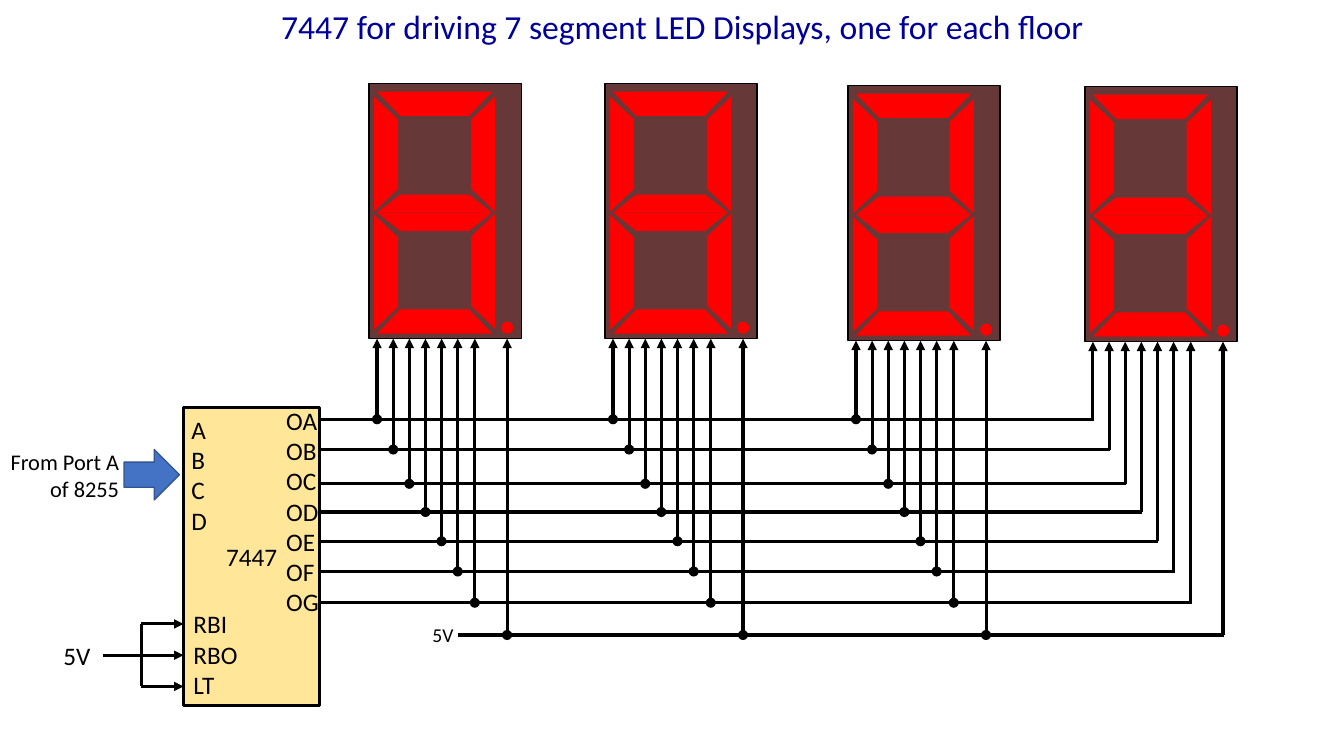
from lxml import etree
from pptx import Presentation
from pptx.dml.color import RGBColor
from pptx.enum.shapes import MSO_CONNECTOR, MSO_SHAPE
from pptx.enum.text import MSO_ANCHOR, PP_ALIGN
from pptx.oxml.ns import qn
from pptx.util import Inches, Pt

BLACK = RGBColor(0x00, 0x00, 0x00)
NAVY = RGBColor(0x00, 0x00, 0x99)
CHIP_YELLOW = RGBColor(0xFF, 0xE6, 0x99)
ARROW_BLUE = RGBColor(0x44, 0x72, 0xC4)
ARROW_EDGE = RGBColor(0x32, 0x54, 0x91)
PANEL_BROWN = RGBColor(0x66, 0x39, 0x38)
LED_RED = RGBColor(0xFF, 0x00, 0x00)

RECTANGLE = MSO_SHAPE.RECTANGLE
RIGHT_ARROW = MSO_SHAPE.RIGHT_ARROW
TRAPEZOID = MSO_SHAPE.FLOWCHART_MANUAL_OPERATION
CIRCLE = MSO_SHAPE.FLOWCHART_CONNECTOR
STRAIGHT = MSO_CONNECTOR.STRAIGHT
LEFT, CENTER, RIGHT = PP_ALIGN.LEFT, PP_ALIGN.CENTER, PP_ALIGN.RIGHT
TOP, MIDDLE = MSO_ANCHOR.TOP, MSO_ANCHOR.MIDDLE

DISPLAYS = [(3.66, 0.83), (6.0, 0.83), (8.41, 0.85), (10.76, 0.86)]
PANEL_WIDTH, PANEL_HEIGHT = 1.51, 2.53
SEGMENT_LENGTH = 1.14
# Offset from the panel corner, thickness and rotation of each segment part
SEGMENTS = [
    (0.08, 0.08, 0.24, 0),
    (0.08, 2.24, 0.24, 180),
    (0.56, 0.58, 0.24, 90),
    (-0.4, 0.58, 0.24, 270),
    (-0.4, 1.75, 0.24, 270),
    (0.56, 1.74, 0.24, 90),
    (0.08, 1.28, 0.18, 0),
    (0.08, 1.1, 0.18, 180),
]
CHIP_RIGHT = 3.17
SUPPLY_START = 4.54
# Pin offset from the panel's left side, and height of its bus wire
PINS = [(0.08, 4.16), (0.24, 4.46), (0.4, 4.8), (0.56, 5.08),
        (0.72, 5.37), (0.88, 5.67), (1.05, 5.98), (1.37, 6.3)]
JUNCTION = 0.1


class Diagram:
    font = "Calibri"
    wire_width = 2.25

    def __init__(self, slide):
        self.slide = slide

    def set_text(self, frame, text, size=18, color=BLACK, align=LEFT, anchor=TOP):
        """Fill a text frame, one paragraph for each line of the text."""
        frame.word_wrap = True
        frame.vertical_anchor = anchor
        for index, words in enumerate(text.split("\n")):
            paragraph = frame.add_paragraph() if index else frame.paragraphs[0]
            paragraph.alignment = align
            run = paragraph.add_run()
            run.text = words
            run.font.name = self.font
            run.font.size = Pt(size)
            run.font.color.rgb = color

    def label(self, left, top, width, height, text, **style):
        box = self.slide.shapes.add_textbox(
            Inches(left), Inches(top), Inches(width), Inches(height))
        self.set_text(box.text_frame, text, **style)

    def shape(self, kind, left, top, width, height, fill,
              line=None, line_width=1, rotation=0):
        shape = self.slide.shapes.add_shape(
            kind, Inches(left), Inches(top), Inches(width), Inches(height))
        shape.shadow.inherit = False
        shape.rotation = rotation
        shape.fill.solid()
        shape.fill.fore_color.rgb = fill
        if line is None:
            shape.line.fill.background()
        else:
            shape.line.color.rgb = line
            shape.line.width = Pt(line_width)
        return shape

    def wire(self, x1, y1, x2, y2, arrow=False):
        wire = self.slide.shapes.add_connector(
            STRAIGHT, Inches(x1), Inches(y1), Inches(x2), Inches(y2))
        wire.line.color.rgb = BLACK
        wire.line.width = Pt(self.wire_width)
        properties = wire.element.spPr
        if arrow:
            tail = etree.SubElement(properties.find(qn("a:ln")), qn("a:tailEnd"))
            tail.set("type", "triangle")
        etree.SubElement(properties, qn("a:effectLst"))

    def junction(self, x, y):
        self.shape(CIRCLE, x - JUNCTION / 2, y - JUNCTION / 2,
                   JUNCTION, JUNCTION, BLACK)

    def display(self, left, top):
        """Draw a seven-segment display with its decimal point."""
        self.shape(RECTANGLE, left, top, PANEL_WIDTH, PANEL_HEIGHT,
                   PANEL_BROWN, line=BLACK)
        for dx, dy, thickness, rotation in SEGMENTS:
            self.shape(TRAPEZOID, left + dx, top + dy, SEGMENT_LENGTH,
                       thickness, LED_RED, rotation=rotation)
        self.shape(CIRCLE, left + 1.31, top + 2.36, 0.12, 0.12, LED_RED)


def draw_decoder(diagram):
    chip = diagram.shape(RECTANGLE, 1.82, 4.04, 1.35, 2.96, CHIP_YELLOW,
                         line=BLACK, line_width=2.25)
    diagram.set_text(chip.text_frame, "7447", align=CENTER, anchor=MIDDLE)
    diagram.label(1.8, 4.06, 0.41, 1.31, "A\nB\nC\nD")
    diagram.label(1.82, 5.99, 0.72, 1.01, "RBI\nRBO\nLT")
    diagram.label(2.74, 3.97, 0.57, 2.22, "OA\nOB\nOC\nOD\nOE\nOF\nOG")
    diagram.shape(RIGHT_ARROW, 1.23, 4.46, 0.55, 0.5, ARROW_BLUE, line=ARROW_EDGE)
    diagram.label(-0.22, 4.4, 1.5, 0.64, "From Port A of 8255", size=16, align=RIGHT)

    for start, y in [(1.4, 6.19), (1.02, 6.5), (1.4, 6.81)]:
        diagram.wire(start, y, 1.82, y, arrow=True)
    diagram.wire(1.4, 6.19, 1.4, 6.81)
    diagram.label(0.53, 6.3, 0.49, 0.4, "5V")


def draw_buses(diagram):
    last_left = DISPLAYS[-1][0]
    for pin, bus_y in PINS:
        start = SUPPLY_START if bus_y == PINS[-1][1] else CHIP_RIGHT
        diagram.wire(start, bus_y, last_left + pin + 0.01, bus_y)
        for left, top in DISPLAYS:
            diagram.wire(left + pin, bus_y, left + pin, top + PANEL_HEIGHT, arrow=True)
            if left != last_left:
                diagram.junction(left + pin, bus_y)
    diagram.label(4.19, 6.13, 0.44, 0.34, "5V", size=14)


def main():
    deck = Presentation()
    deck.slide_width, deck.slide_height = Inches(13.33), Inches(7.5)
    diagram = Diagram(deck.slides.add_slide(deck.slide_layouts[6]))
    diagram.label(2.69, 0.01, 8.25, 0.5,
                  "7447 for driving 7 segment LED Displays, one for each floor",
                  size=24, color=NAVY)
    draw_decoder(diagram)
    for left, top in DISPLAYS:
        diagram.display(left, top)
    draw_buses(diagram)
    deck.save("out.pptx")


if __name__ == "__main__":
    main()
